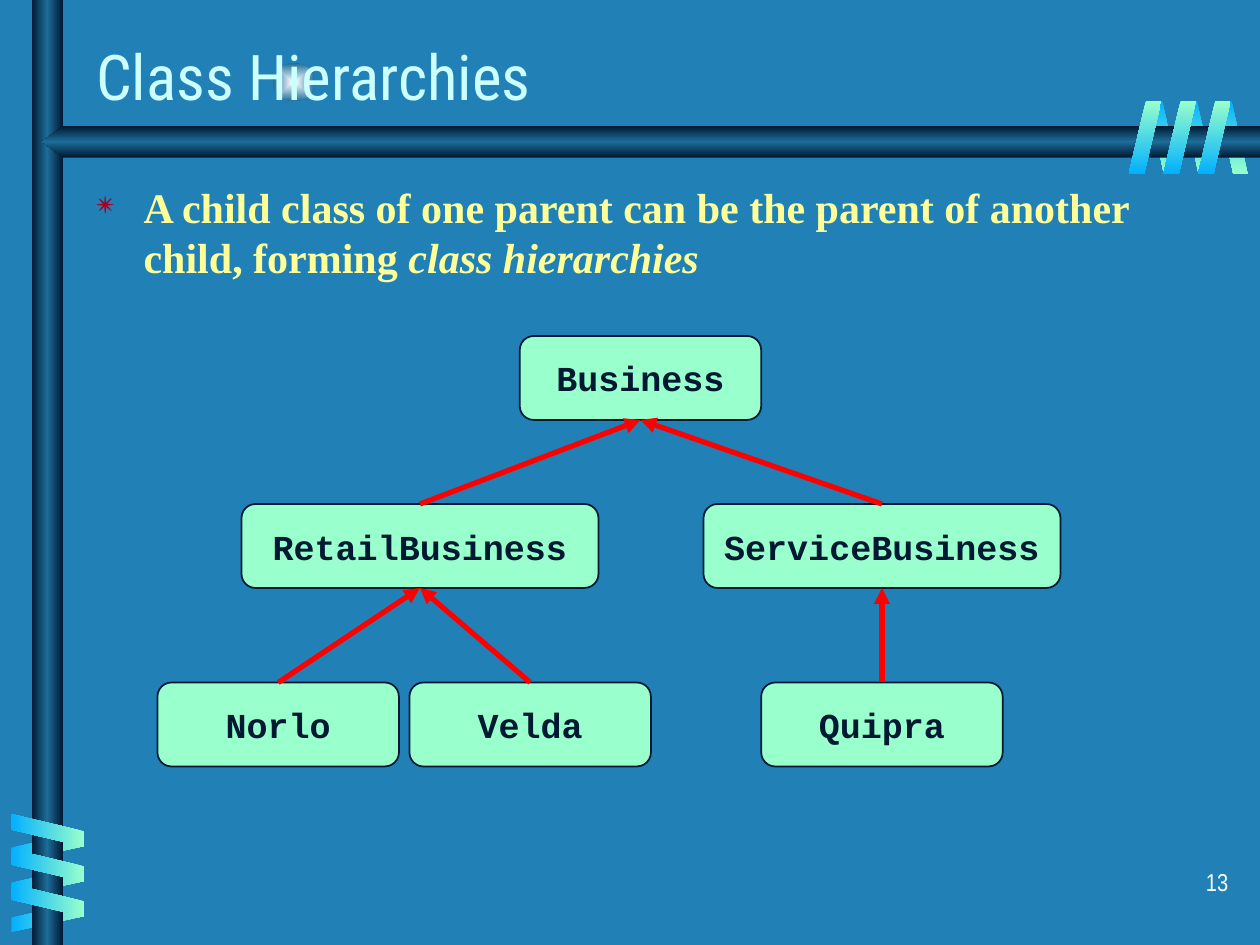
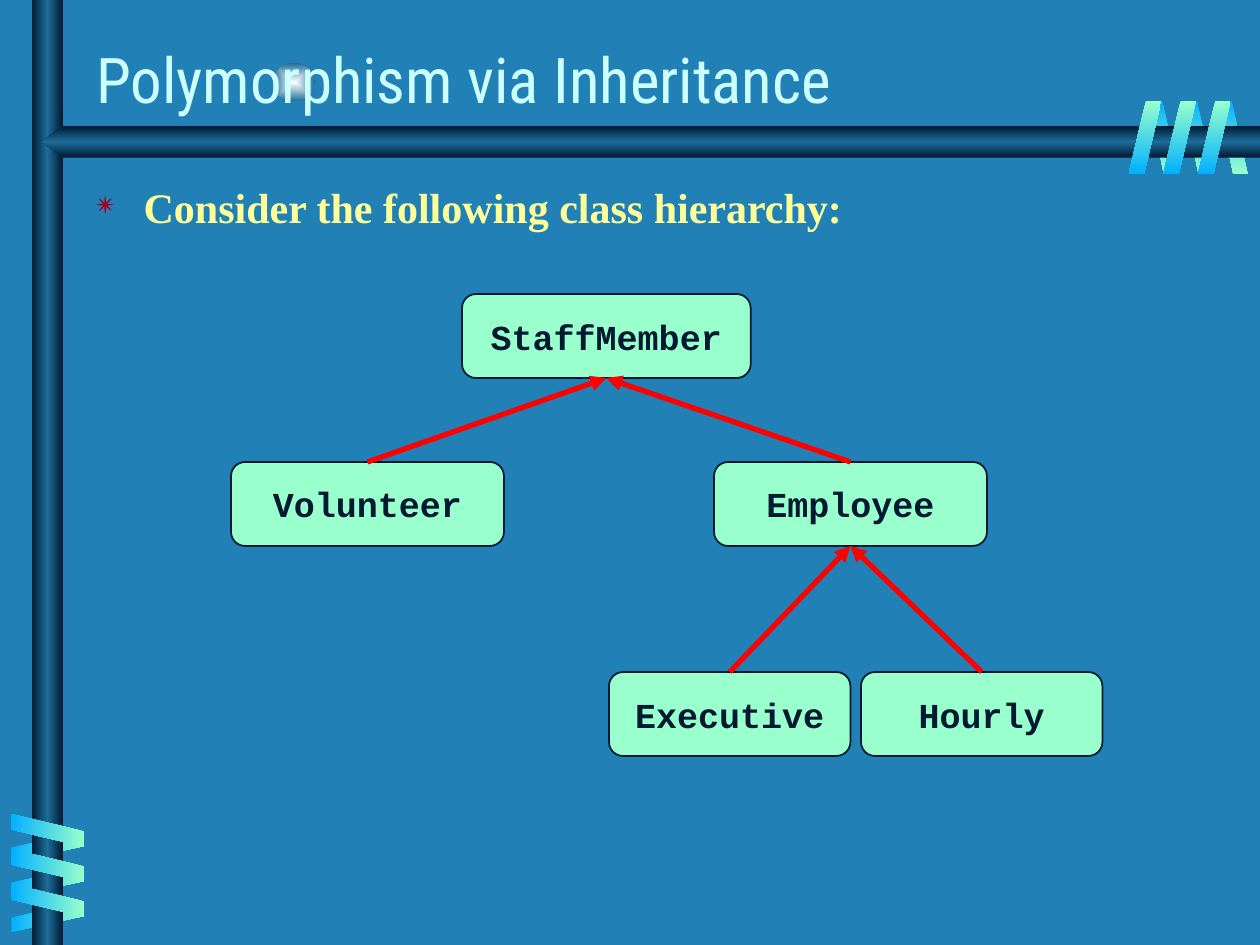
from lxml import etree
from pptx import Presentation
from pptx.dml.color import RGBColor
from pptx.enum.shapes import MSO_CONNECTOR, MSO_SHAPE
from pptx.enum.text import MSO_ANCHOR, PP_ALIGN
from pptx.oxml.ns import qn
from pptx.util import Pt

STRAIGHT = MSO_CONNECTOR.STRAIGHT
ELLIPSE = MSO_SHAPE.OVAL
RECT = MSO_SHAPE.RECTANGLE
SLANT = MSO_SHAPE.PARALLELOGRAM
NODE = MSO_SHAPE.FLOWCHART_ALTERNATE_PROCESS
TOP, MIDDLE, BOTTOM = MSO_ANCHOR.TOP, MSO_ANCHOR.MIDDLE, MSO_ANCHOR.BOTTOM
LEFT, CENTER, RIGHT = PP_ALIGN.LEFT, PP_ALIGN.CENTER, PP_ALIGN.RIGHT
TOP_SITE, BOTTOM_SITE = 0, 2

WIDTH, HEIGHT = 720, 540
BACKGROUND = "2181B7"
NAVY, STEEL, GLOW = "001932", "1C6D9A", "FEFFFF"
MINT, SKY = "99FFCC", "01B0FF"
TITLE_COLOR, BODY_COLOR, BULLET_COLOR = "CCFFFF", "FFFF99", "A50021"
ARROW_COLOR, NUMBER_COLOR = "FF0000", "FFFFFF"
BAR_STOPS = [(0, NAVY), (50, STEEL), (100, NAVY)]
TITLE_FONT, BODY_FONT = "Roboto Condensed", "Times New Roman"
CODE_FONT, NUMBER_FONT = "Courier New", "Arial Narrow"

TITLE_BOX = (48, 16, 598, 54)
BODY_BOX = (48, 100, 654, 386)
NUMBER_BOX = (559, 492, 150, 36)
NODE_HEIGHT = 48


def rgb(value):
    return RGBColor.from_string(value)


def child(parent, tag, **attrs):
    return etree.SubElement(parent, qn(tag), attrs)


def gradient(sp, stops, angle=None):
    sp.shadow.inherit = False
    sp.line.fill.background()
    sp.fill.background()
    spPr = sp._element.spPr
    grad = etree.Element(qn("a:gradFill"), rotWithShape="0")
    stop_list = child(grad, "a:gsLst")
    for position, color in stops:
        stop = child(stop_list, "a:gs", pos=str(position * 1000))
        child(stop, "a:srgbClr", val=color)
    if angle is None:
        path = child(grad, "a:path", path="rect")
        child(path, "a:fillToRect", l="50000", t="50000", r="50000", b="50000")
    else:
        child(grad, "a:lin", ang=str(angle * 60000), scaled="1")
    spPr.replace(spPr.find(qn("a:noFill")), grad)


def add_preset(slide, kind, box):
    return slide.shapes.add_shape(kind, *map(Pt, box))


def add_run(p, text, font, size, color, bold=False, italic=False):
    r = p.add_run()
    r.text = text
    r.font.name = font
    r.font.size = Pt(size)
    r.font.color.rgb = rgb(color)
    r.font.bold = bold
    r.font.italic = italic


def add_text_box(slide, box, anchor=TOP, align=LEFT):
    tf = slide.shapes.add_textbox(*map(Pt, box)).text_frame
    tf.word_wrap = True
    tf.vertical_anchor = anchor
    p = tf.paragraphs[0]
    p.alignment = align
    return p


def add_coil(slide, box, step, stops, angle, rotation=0, flip=False):
    left, top, width, height = box
    dx, dy = step
    for i in range(3):
        sp = add_preset(slide, SLANT, (left + i * dx, top + i * dy, width, height))
        sp.adjustments[0] = 0.53
        sp.rotation = rotation
        if flip:
            sp._element.spPr.xfrm.set("flipH", "1")
        gradient(sp, stops, angle)


def add_bars(slide):
    gradient(add_preset(slide, RECT, (18, 0, 18, HEIGHT)), BAR_STOPS, 180)
    builder = slide.shapes.build_freeform(WIDTH, 72, scale=Pt(1))
    builder.add_line_segments([(36, 72), (24, 81), (36, 90), (WIDTH, 90)])
    gradient(builder.convert_to_shape(), BAR_STOPS, 90)


def add_frame(slide):
    fill = slide.background.fill
    fill.solid()
    fill.fore_color.rgb = rgb(BACKGROUND)
    gradient(add_preset(slide, ELLIPSE, (156, 36, 24, 22)), [(0, GLOW), (100, STEEL)])
    back, front = [(0, SKY), (100, MINT)], [(0, MINT), (100, SKY)]
    across, down = (19.8, 0), (0, 20)
    add_coil(slide, (656, 57.6, 17.3, 41.8), across, back, 90, 180, True)
    add_coil(slide, (18.7, 463, 17.3, 41.8), down, back, 180, 90, True)
    add_bars(slide)
    add_coil(slide, (17.8, 453.6, 18.7, 41.8), down, front, 180, 270)
    add_coil(slide, (645, 57.6, 18.7, 41.8), across, front, 90)


def add_title(slide, text, anchor):
    p = add_text_box(slide, TITLE_BOX, anchor)
    add_run(p, text, TITLE_FONT, 36, TITLE_COLOR)


def add_body(slide, runs):
    p = add_text_box(slide, BODY_BOX)
    pPr = p._p.get_or_add_pPr()
    pPr.set("marL", str(Pt(27)))
    pPr.set("indent", str(-Pt(27)))
    child(child(pPr, "a:buClr"), "a:srgbClr", val=BULLET_COLOR)
    child(pPr, "a:buSzPct", val="75000")
    child(pPr, "a:buChar", char="✴")
    for text, italic in runs:
        add_run(p, text, BODY_FONT, 24, BODY_COLOR, True, italic)


def add_node(slide, name, box):
    sp = add_preset(slide, NODE, box)
    sp.shadow.inherit = False
    sp.fill.solid()
    sp.fill.fore_color.rgb = rgb(MINT)
    sp.line.color.rgb = rgb(NAVY)
    sp.line.width = Pt(1)
    tf = sp.text_frame
    tf.word_wrap = False
    tf.vertical_anchor = MIDDLE
    p = tf.paragraphs[0]
    p.alignment = CENTER
    add_run(p, name, CODE_FONT, 20, NAVY, True)
    return sp


def add_arrow(slide, subclass, parent):
    line = slide.shapes.add_connector(STRAIGHT, 0, 0, 0, 0)
    line.begin_connect(subclass, TOP_SITE)
    line.end_connect(parent, BOTTOM_SITE)
    line.line.color.rgb = rgb(ARROW_COLOR)
    line.line.width = Pt(3)
    child(line.line._get_or_add_ln(), "a:tailEnd", type="triangle")
    child(line._element.spPr, "a:effectLst")


def add_tree(slide, origin, classes):
    left, top = origin
    nodes = {}
    for name, x, y, width, parent in classes:
        nodes[name] = add_node(slide, name, (left + x, top + y, width, NODE_HEIGHT))
        if parent:
            add_arrow(slide, nodes[name], nodes[parent])


def add_number(slide, number):
    p = add_text_box(slide, NUMBER_BOX, align=RIGHT)
    add_run(p, number, NUMBER_FONT, 14, NUMBER_COLOR)


def add_hierarchy_slide(prs, title, anchor, body, origin, classes, number=None):
    slide = prs.slides.add_slide(prs.slide_layouts[6])
    add_frame(slide)
    add_title(slide, title, anchor)
    add_body(slide, body)
    add_tree(slide, origin, classes)
    if number:
        add_number(slide, number)


def main():
    prs = Presentation()
    prs.slide_width, prs.slide_height = Pt(WIDTH), Pt(HEIGHT)
    add_hierarchy_slide(
        prs, "Class Hierarchies", MIDDLE,
        [("A child class of one parent can be the parent of another child, forming ", False),
         ("class hierarchies", True)],
        (90, 192),
        [("Business", 207, 0, 138, None),
         ("RetailBusiness", 48, 96, 204, "Business"),
         ("ServiceBusiness", 312, 96, 204, "Business"),
         ("Norlo", 0, 198, 138, "RetailBusiness"),
         ("Velda", 144, 198, 138, "RetailBusiness"),
         ("Quipra", 345, 198, 138, "ServiceBusiness")],
        "13")
    add_hierarchy_slide(
        prs, "Polymorphism via Inheritance", BOTTOM,
        [("Consider the following class hierarchy:", False)],
        (132, 168),
        [("StaffMember", 132, 0, 165, None),
         ("Volunteer", 0, 96, 156, "StaffMember"),
         ("Employee", 276, 96, 156, "StaffMember"),
         ("Executive", 216, 216, 138, "Employee"),
         ("Hourly", 360, 216, 138, "Employee")])
    prs.save("out.pptx")


if __name__ == "__main__":
    main()
